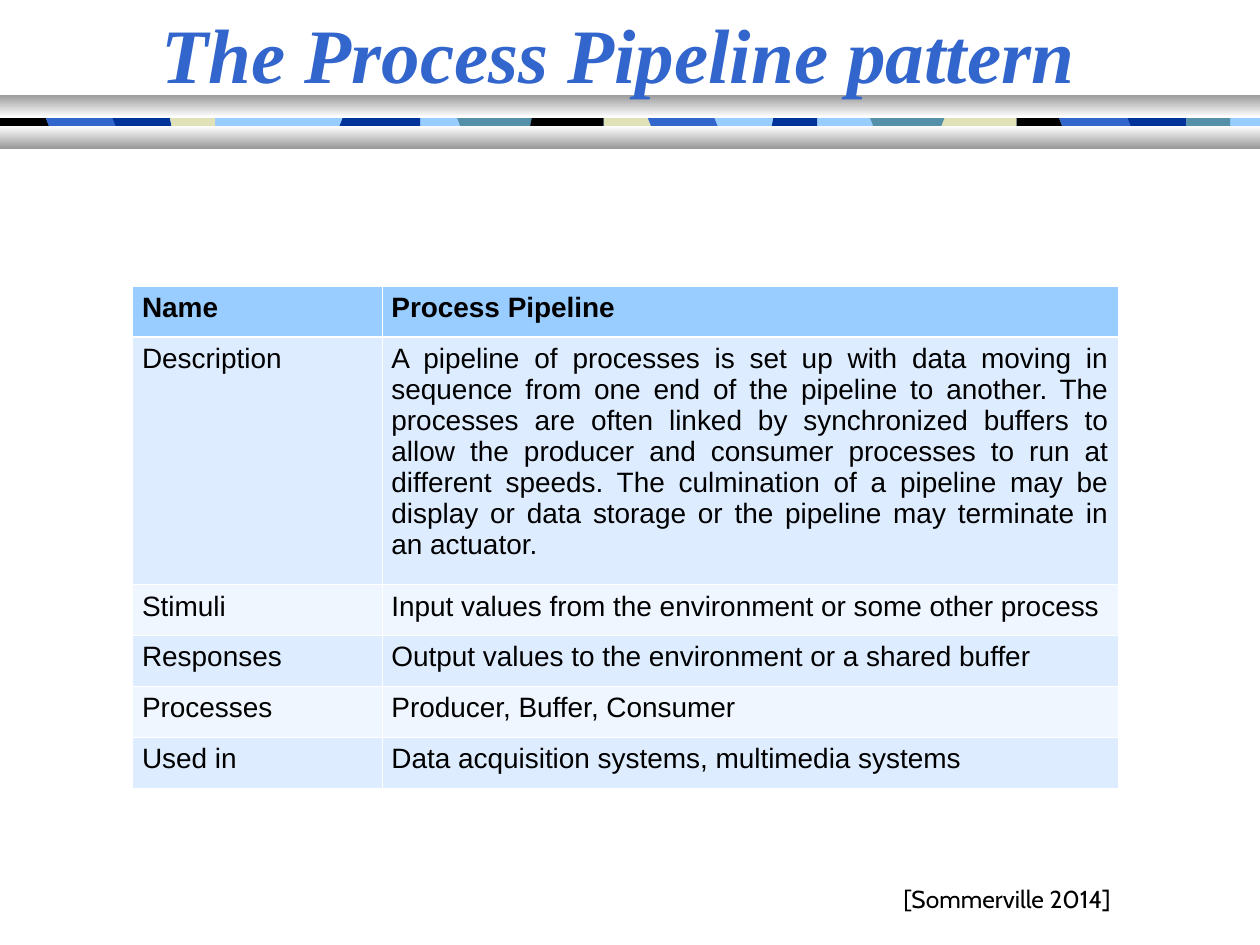
from itertools import pairwise

from lxml.etree import SubElement
from pptx import Presentation
from pptx.dml.color import RGBColor
from pptx.enum.shapes import MSO_SHAPE
from pptx.enum.text import MSO_ANCHOR, PP_ALIGN
from pptx.oxml.ns import qn
from pptx.util import Pt

BLACK = RGBColor(0x00, 0x00, 0x00)
WHITE = RGBColor(0xFF, 0xFF, 0xFF)
GRAY = RGBColor(0x99, 0x99, 0x99)
BLUE = RGBColor(0x33, 0x66, 0xCC)
NAVY = RGBColor(0x00, 0x33, 0x99)
SKY = RGBColor(0x99, 0xCC, 0xFF)
TEAL = RGBColor(0x54, 0x90, 0xA8)
SAND = RGBColor(0xE1, 0xE1, 0xB7)
PALE = RGBColor(0xDE, 0xEC, 0xFF)
PALER = RGBColor(0xEF, 0xF6, 0xFF)

# Content
TITLE = "The Process Pipeline pattern "
SOURCE = "[Sommerville 2014]"
ROWS = [
    ("Name", "Process Pipeline"),
    ("Description",
     "A pipeline of processes is set up with data moving in sequence from one "
     "end of the pipeline to another. The processes are often linked by "
     "synchronized buffers to allow the producer and consumer processes to run "
     "at different speeds. The culmination of a pipeline may be display or data "
     "storage or the pipeline may terminate in an actuator."),
    ("Stimuli", "Input values from the environment or some other process"),
    ("Responses", "Output values to the environment or a shared buffer"),
    ("Processes", "Producer, Buffer, Consumer"),
    ("Used in", "Data acquisition systems, multimedia systems "),
]
COLUMN_WIDTHS = [142.5, 420.5]
ROW_HEIGHTS = [29.1, 134.4, 29.1, 29.1, 29.1, 29.1]

# Colour strip: colour, then x of its left edge at the top and at the bottom
STRIP = [
    (BLACK, 0, 0), (BLUE, 25.7, 28), (NAVY, 64.5, 66.3), (SAND, 97.3, 97.7),
    (SKY, 123.4, 123.4), (NAVY, 196, 194.3), (SKY, 240, 240),
    (TEAL, 261.1, 263.4), (BLACK, 304.5, 302.8), (SAND, 345.1, 345.1),
    (BLUE, 369.7, 372), (SKY, 408.5, 409.7), (NAVY, 441.7, 441.1),
    (SKY, 467.4, 467.4), (TEAL, 496.6, 498.9), (SAND, 540, 538.3),
    (BLACK, 581.1, 580.6), (BLUE, 605.1, 607.4), (NAVY, 644, 645.7),
    (TEAL, 677.7, 677.7), (SKY, 703.4, 703.4), (None, 720, 720),
]
STRIP_TOP, SLANT_TOP, SLANT_BOTTOM, STRIP_BOTTOM = 61.2, 67, 72, 81.4
BARS = [(54, GRAY, WHITE), (72, WHITE, GRAY)]


def write(frame, text, align, **font_format):
    para = frame.paragraphs[0]
    para.alignment = align
    span = para.add_run()
    span.text = text
    color = font_format.pop("color")
    for name, value in font_format.items():
        setattr(span.font, name, value)
    span.font.color.rgb = color
    return para


def add_text(page, place, text, anchor, **font_format):
    box = page.shapes.add_textbox(*map(Pt, place))
    box.text_frame.word_wrap = True
    box.text_frame.vertical_anchor = anchor
    write(box.text_frame, text, PP_ALIGN.CENTER, **font_format)


def add_plain_rect(page, top, height):
    rect = page.shapes.add_shape(MSO_SHAPE.RECTANGLE, 0, Pt(top), Pt(720), Pt(height))
    rect.shadow.inherit = False
    rect.line.fill.background()
    return rect


def add_band(page):
    base = add_plain_rect(page, STRIP_TOP, STRIP_BOTTOM - STRIP_TOP)
    base.fill.solid()
    base.fill.fore_color.rgb = SKY

    # Slanted pieces; the sky-coloured gaps show the base
    for (color, *left), (_, *right) in pairwise(STRIP):
        if color == SKY:
            continue
        outline = [
            (right[0], STRIP_TOP), (right[0], SLANT_TOP),
            (right[1], SLANT_BOTTOM), (right[1], STRIP_BOTTOM),
            (left[1], STRIP_BOTTOM), (left[1], SLANT_BOTTOM),
            (left[0], SLANT_TOP),
        ]
        builder = page.shapes.build_freeform(left[0], STRIP_TOP, scale=Pt(1))
        builder.add_line_segments(outline, close=True)
        piece = builder.convert_to_shape()
        piece.shadow.inherit = False
        piece.fill.solid()
        piece.fill.fore_color.rgb = color
        piece.line.fill.background()

    # Shaded bars above and below the strip
    for top, *colors in BARS:
        bar = add_plain_rect(page, top, 13)
        bar.fill.gradient()
        bar.fill.gradient_angle = 270
        for stop, color in zip(bar.fill.gradient_stops, colors):
            stop.color.rgb = color


def set_borders(cell, widths):
    properties = cell._tc.get_or_add_tcPr()
    for position, (side, width) in enumerate(widths.items()):
        line = properties.makeelement(qn(f"a:ln{side}"), {"w": str(Pt(width))})
        fill = SubElement(line, qn("a:solidFill"))
        SubElement(fill, qn("a:srgbClr"), val=str(WHITE))
        properties.insert(position, line)


def add_pattern_table(page):
    table = page.shapes.add_table(
        len(ROWS), len(COLUMN_WIDTHS), Pt(75.8), Pt(163.4),
        Pt(sum(COLUMN_WIDTHS)), Pt(sum(ROW_HEIGHTS))).table
    for column, width in zip(table.columns, COLUMN_WIDTHS):
        column.width = Pt(width)
    for index, (row, height, texts) in enumerate(zip(table.rows, ROW_HEIGHTS, ROWS)):
        row.height = Pt(height)
        fill_color = SKY if index == 0 else (PALER, PALE)[index % 2]
        widths = {"L": 0.45, "R": 0.45,
                  "T": 1.47 if index == 1 else 0.45,
                  "B": 1.47 if index == 0 else 0.45}
        for cell, text in zip(row.cells, texts):
            cell.margin_left = cell.margin_right = Pt(5.4)
            cell.margin_top = cell.margin_bottom = Pt(3.6)
            cell.fill.solid()
            cell.fill.fore_color.rgb = fill_color
            set_borders(cell, widths)
            para = write(cell.text_frame, text, PP_ALIGN.JUSTIFY, name="Arial",
                         size=Pt(16), bold=index == 0, color=BLACK)
            para.space_after = Pt(3)


def main():
    deck = Presentation()
    deck.slide_width, deck.slide_height = Pt(720), Pt(540)
    page = deck.slides.add_slide(deck.slide_layouts[6])
    add_band(page)
    add_text(page, (0, 0, 718, 60), TITLE, MSO_ANCHOR.MIDDLE, name="Times New Roman",
             size=Pt(44), bold=True, italic=True, color=BLUE)
    add_pattern_table(page)
    add_text(page, (461.5, 489.6, 228, 36), SOURCE, MSO_ANCHOR.BOTTOM, name="Cabin",
             size=Pt(14), color=BLACK)
    deck.save("out.pptx")


if __name__ == "__main__":
    main()
